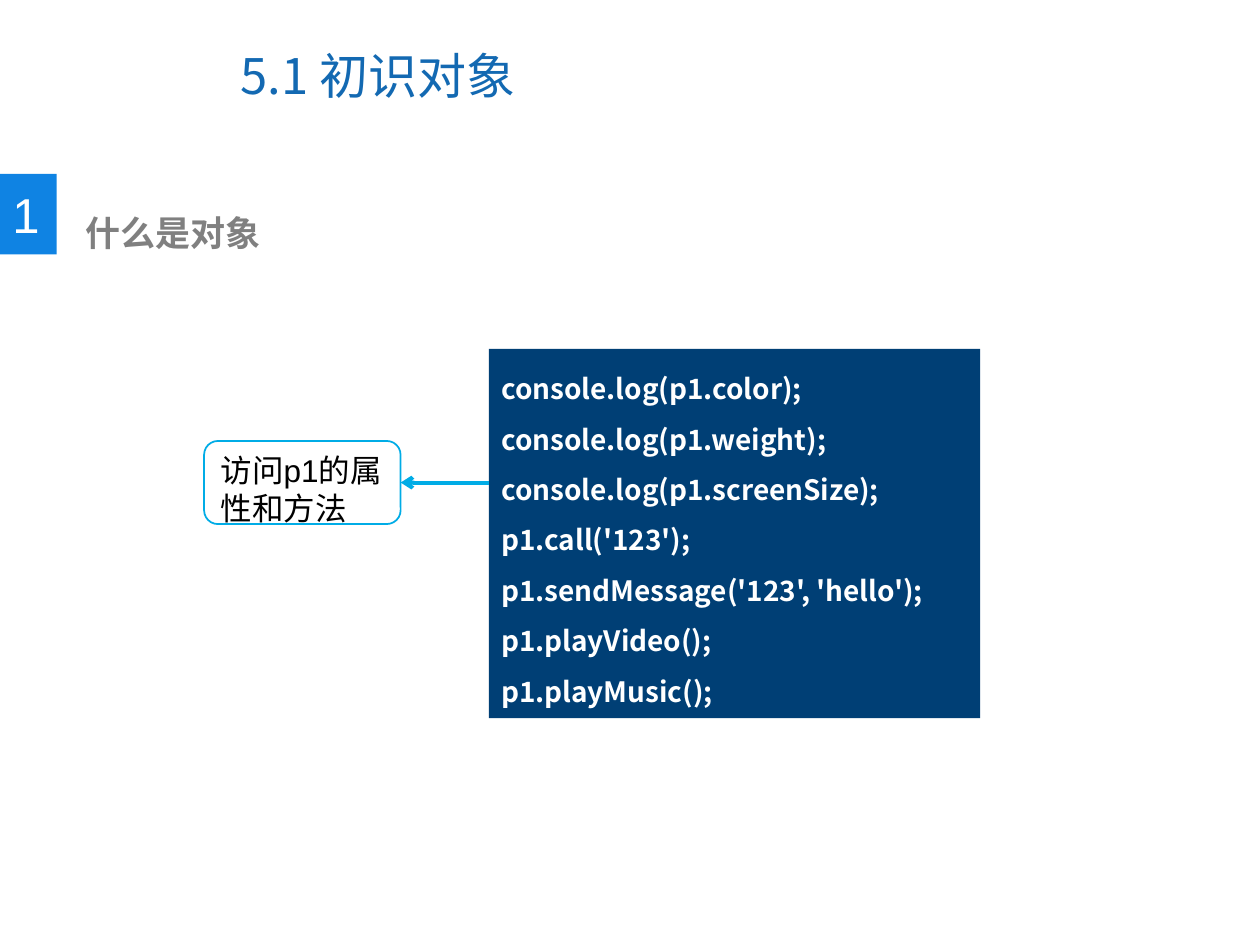
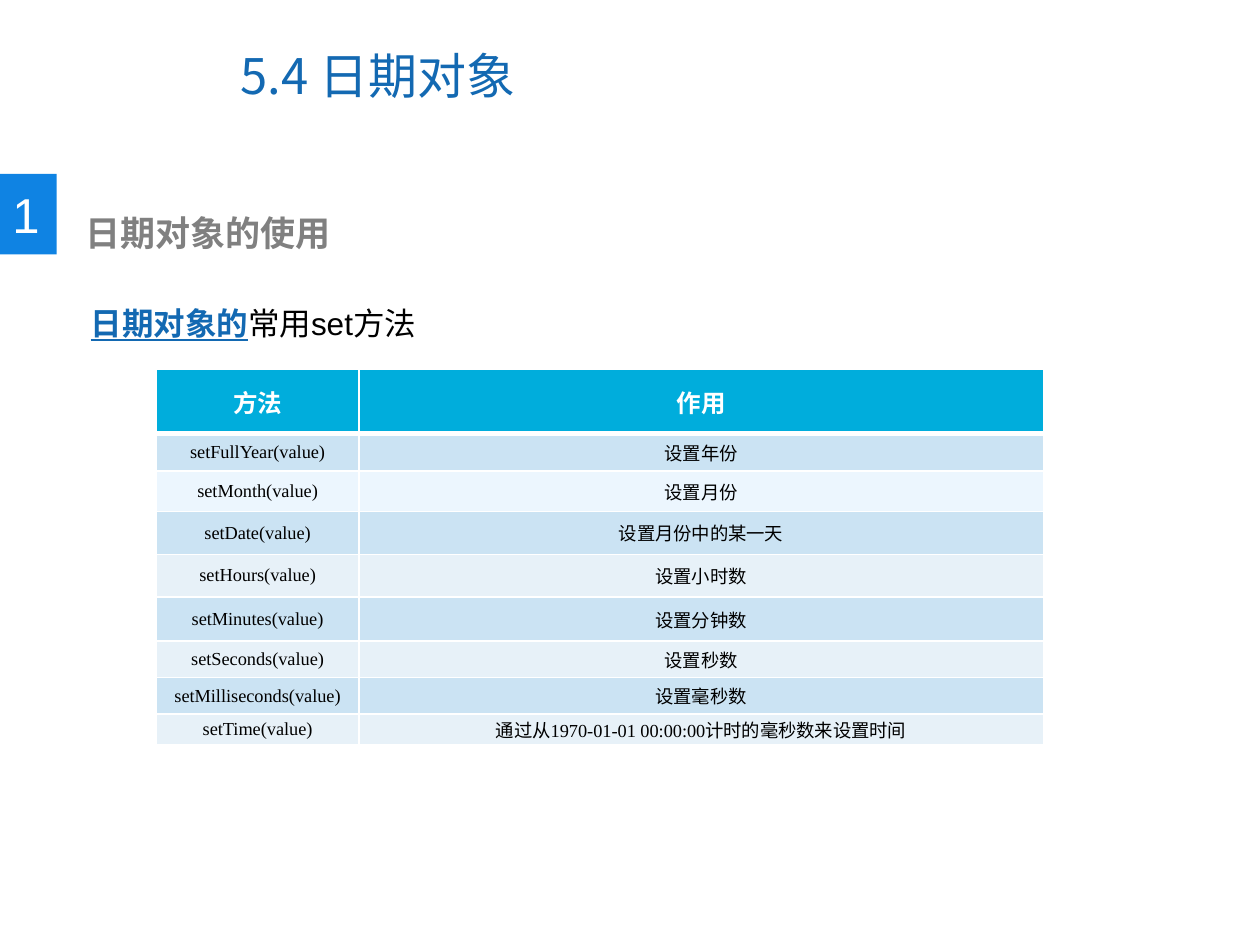
from dataclasses import dataclass

from lxml import etree
from pptx import Presentation
from pptx.dml.color import RGBColor
from pptx.enum.shapes import MSO_CONNECTOR, MSO_SHAPE
from pptx.enum.text import MSO_ANCHOR, PP_ALIGN
from pptx.oxml.ns import qn
from pptx.util import Inches, Pt

RECT, ROUND_RECT = MSO_SHAPE.RECTANGLE, MSO_SHAPE.ROUNDED_RECTANGLE
STRAIGHT = MSO_CONNECTOR.STRAIGHT
TOP, MIDDLE = MSO_ANCHOR.TOP, MSO_ANCHOR.MIDDLE
LEFT, CENTER = PP_ALIGN.LEFT, PP_ALIGN.CENTER


@dataclass(frozen=True)
class Theme:
    sans: str = "Arial"
    heading: str = "Noto Sans CJK SC"
    serif: str = "Times New Roman"
    white: str = "FFFFFF"
    black: str = "000000"
    title: str = "1369B2"
    badge: str = "0F83E3"
    section: str = "808080"
    code: str = "003F75"
    accent: str = "00ACE6"
    header: str = "00ADDC"
    band_dark: str = "CBE3F3"
    band_light: str = "E7F1F8"
    band_pale: str = "ECF6FE"
    title_size: float = 28
    section_size: float = 20
    body_size: float = 18
    code_size: float = 16
    header_size: float = 14
    cell_size: float = 10.5


T = Theme()

CODE_LINES = [
    "console.log(p1.color);",
    "console.log(p1.weight);",
    "console.log(p1.screenSize);",
    "p1.call('123');",
    "p1.sendMessage('123', 'hello');",
    "p1.playVideo();",
    "p1.playMusic();",
]

METHOD_ROWS = [
    (0.51, T.header, "方法", "作用"),
    (0.30, T.band_dark, "setFullYear(value)", "设置年份"),
    (0.32, T.band_pale, "setMonth(value)", "设置月份"),
    (0.34, T.band_dark, "setDate(value)", "设置月份中的某一天"),
    (0.34, T.band_light, "setHours(value)", "设置小时数"),
    (0.35, T.band_dark, "setMinutes(value)", "设置分钟数"),
    (0.29, T.band_light, "setSeconds(value)", "设置秒数"),
    (0.29, T.band_dark, "setMilliseconds(value)", "设置毫秒数"),
    (0.24, T.band_light, "setTime(value)", "通过从1970-01-01 00:00:00计时的毫秒数来设置时间"),
]


def style_font(font, name, size, color, bold=False):
    font.name = name
    font.size = Pt(size)
    font.bold = bold
    font.color.rgb = RGBColor.from_string(color)


def write_lines(tf, lines, name, size, color, bold=False, anchor=TOP, align=LEFT, spacing=None):
    tf.word_wrap = True
    tf.vertical_anchor = anchor
    for i, line in enumerate(lines):
        p = tf.add_paragraph() if i else tf.paragraphs[0]
        p.text = line
        p.alignment = align
        if spacing:
            p.line_spacing = spacing
        style_font(p.font, name, size, color, bold)


def add_text(s, box, text, *style, **options):
    tb = s.shapes.add_textbox(*map(Inches, box))
    write_lines(tb.text_frame, [text], *style, **options)


def add_block(s, kind, box, fill, line=None):
    sp = s.shapes.add_shape(kind, *map(Inches, box))
    sp.shadow.inherit = False
    sp.fill.solid()
    sp.fill.fore_color.rgb = RGBColor.from_string(fill)
    if line:
        sp.line.color.rgb = RGBColor.from_string(line)
        sp.line.width = Pt(1)
    else:
        sp.line.fill.background()
    return sp


def add_arrow(s, start_x, target):
    y = target.top + target.height // 2
    arrow = s.shapes.add_connector(STRAIGHT, start_x, y, target.left + target.width, y)
    arrow.end_connect(target, 3)
    arrow.line.color.rgb = RGBColor.from_string(T.accent)
    arrow.line.width = Pt(2.25)
    etree.SubElement(arrow.line._get_or_add_ln(), qn("a:tailEnd"), type="arrow")
    etree.SubElement(arrow._element.spPr, qn("a:effectLst"))


def add_content_slide(prs, title, number, section):
    s = prs.slides.add_slide(prs.slide_layouts[6])
    add_text(s, (1.81, 0.17, 5.16, 0.85), title, T.heading, T.title_size, T.title, anchor=MIDDLE)
    badge = add_block(s, RECT, (0, 1.38, 0.45, 0.64), T.badge)
    write_lines(badge.text_frame, [number], T.sans, T.title_size, T.white, anchor=MIDDLE)
    add_text(s, (0.58, 1.63, 5.03, 0.44), section, T.sans, T.section_size, T.section, bold=True)
    return s


def add_code_panel(s, box):
    left, top = box[:2]
    panel = add_block(s, RECT, box, T.code)
    write_lines(panel.text_frame, CODE_LINES, T.heading, T.code_size, T.white,
                bold=True, spacing=1.5)
    callout = add_block(s, ROUND_RECT, (left - 2.26, top + 0.73, 1.56, 0.66), T.white, T.accent)
    write_lines(callout.text_frame, ["访问p1的属性和方法"], T.sans, T.body_size, T.black)
    add_arrow(s, panel.left, callout)


def add_lead(s, box, term, rest):
    tf = s.shapes.add_textbox(*map(Inches, box)).text_frame
    tf.word_wrap = True
    p = tf.paragraphs[0]
    p.line_spacing = 2.0
    for text, color, is_term in ((term, T.title, True), (rest, T.black, False)):
        r = p.add_run()
        r.text = text
        style_font(r.font, T.sans, T.body_size, color, is_term)
        r.font.underline = is_term


def set_borders(cell, top, bottom):
    tcPr = cell._tc.get_or_add_tcPr()
    for i, (side, width) in enumerate((("L", 1), ("R", 1), ("T", top), ("B", bottom))):
        ln = etree.Element(qn(f"a:ln{side}"), w=str(Pt(width)))
        fill = etree.SubElement(ln, qn("a:solidFill"))
        etree.SubElement(fill, qn("a:srgbClr"), val=T.white)
        tcPr.insert(i, ln)


def add_method_table(s, box, col_widths):
    table = s.shapes.add_table(len(METHOD_ROWS), len(col_widths), *map(Inches, box)).table
    for col, width in zip(table.columns, col_widths):
        col.width = Inches(width)
    for i, (height, fill, *texts) in enumerate(METHOD_ROWS):
        table.rows[i].height = Inches(height)
        is_header = i == 0
        style = (T.header_size, T.white, True) if is_header else (T.cell_size, T.black, False)
        for j, text in enumerate(texts):
            cell = table.cell(i, j)
            cell.fill.solid()
            cell.fill.fore_color.rgb = RGBColor.from_string(fill)
            cell.margin_left = cell.margin_right = Inches(0.08 if is_header else 0.07)
            cell.margin_top = cell.margin_bottom = 0
            cell.vertical_anchor = MIDDLE
            p = cell.text_frame.paragraphs[0]
            p.text = text
            p.alignment = CENTER
            style_font(p.font, T.serif, *style)
            set_borders(cell, 3 if i == 1 else 1, 3 if is_header else 1)


def main():
    prs = Presentation()
    prs.slide_width, prs.slide_height = Inches(10), Inches(7.5)

    s = add_content_slide(prs, "5.1 初识对象", "1", "什么是对象")
    add_code_panel(s, (3.88, 2.77, 3.9, 2.93))

    s = add_content_slide(prs, "5.4 日期对象", "1", "日期对象的使用")
    add_lead(s, (0.62, 2.06, 8.65, 0.71), "日期对象的", "常用set方法")
    add_method_table(s, (1.24, 2.93, 7.04, 3), (1.61, 5.43))

    prs.save("out.pptx")


if __name__ == "__main__":
    main()
